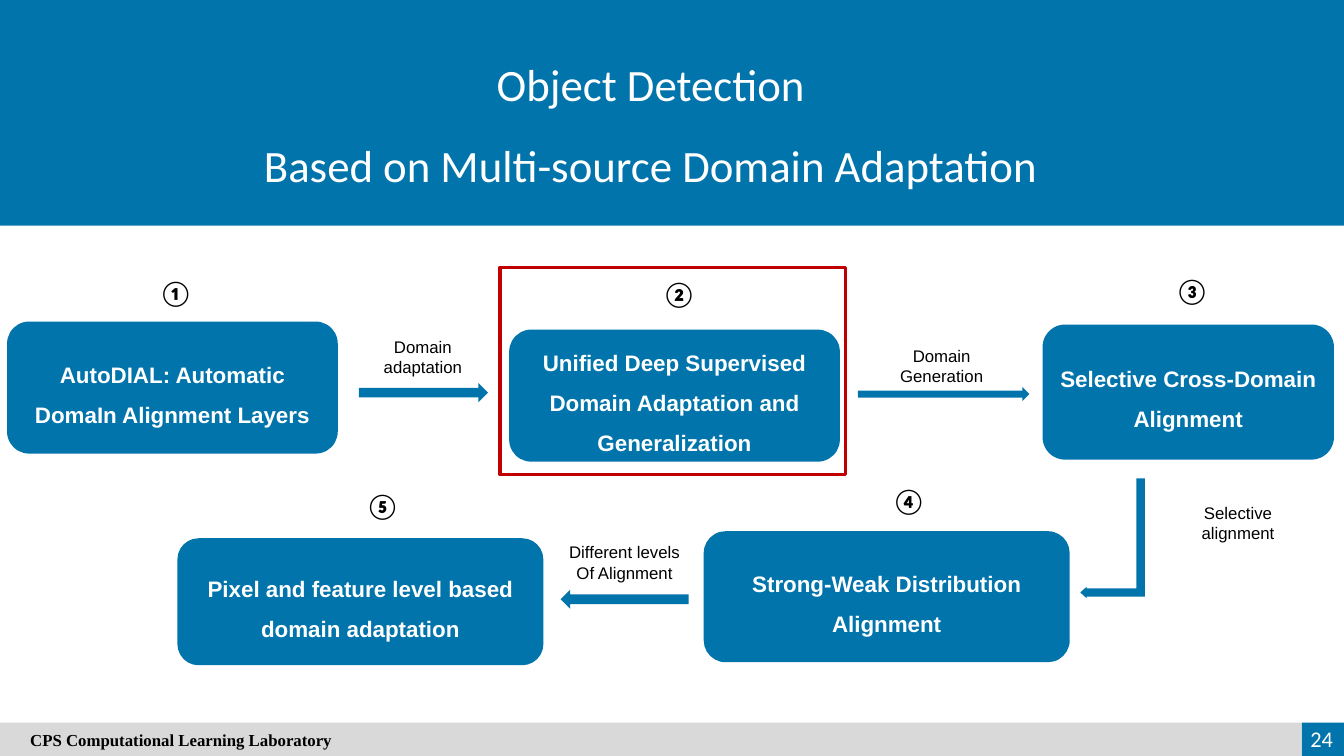
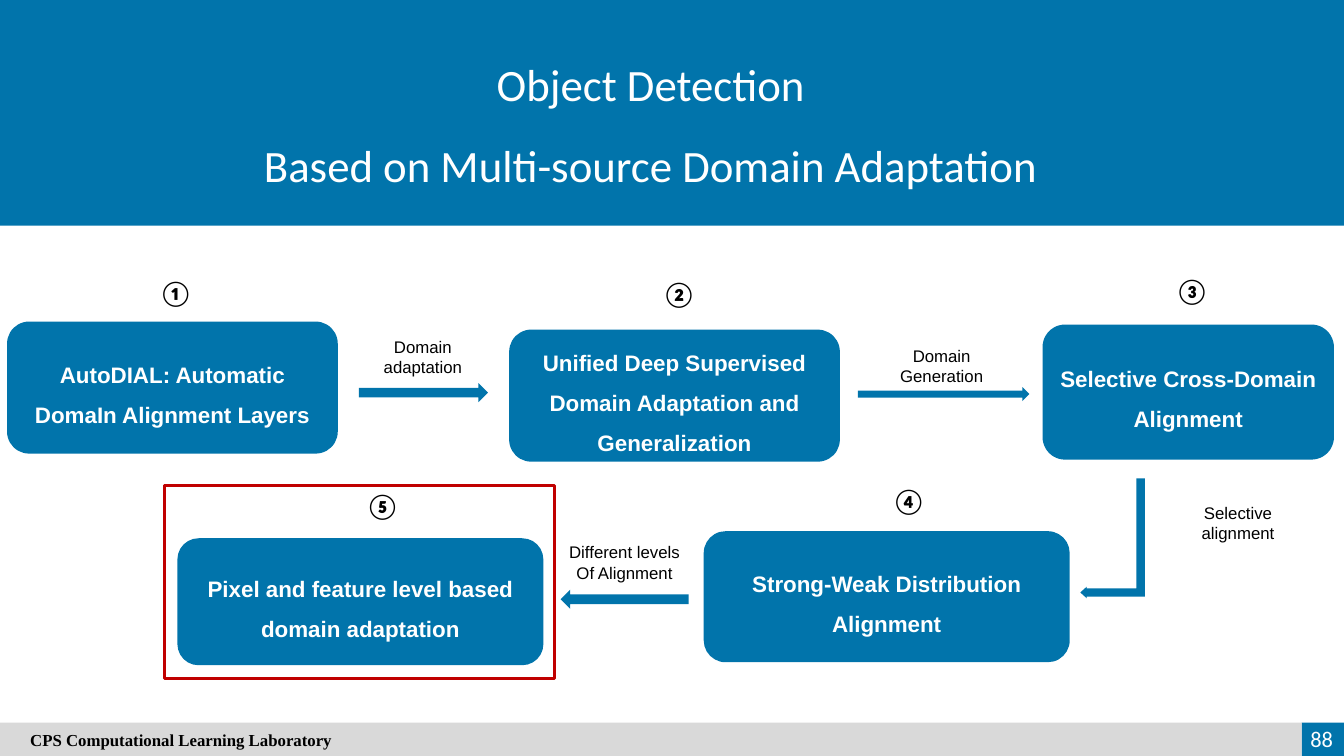
from dataclasses import dataclass

from pptx import Presentation
from pptx.dml.color import RGBColor
from pptx.enum.shapes import MSO_SHAPE
from pptx.enum.text import MSO_ANCHOR, MSO_AUTO_SIZE, PP_ALIGN
from pptx.oxml.ns import qn
from pptx.util import Inches, Pt


@dataclass(frozen=True)
class TextStyle:
    """Describe the look of a run of text."""
    font: str
    size: int
    color: RGBColor
    bold: bool = False


@dataclass(frozen=True)
class Theme:
    """Hold the colours and text styles of the deck."""
    blue = RGBColor(0x01, 0x74, 0xAB)
    gray = RGBColor(0xD9, 0xD9, 0xD9)
    red = RGBColor(0xC0, 0x00, 0x00)
    white = RGBColor(0xFF, 0xFF, 0xFF)
    black = RGBColor(0x00, 0x00, 0x00)
    title = TextStyle("Calibri", 32, white)
    step = TextStyle("Arial", 16, white, True)
    label = TextStyle("Arial", 12, black)
    number = TextStyle("Calibri", 18, black, True)
    footer = TextStyle("Times New Roman", 12, black, True)
    page = TextStyle("Calibri", 16, white)


THEME = Theme()

TITLE = ["Object Detection", "Based on Multi-source Domain Adaptation"]
FOOTER = "CPS Computational Learning Laboratory"

STEPS = [
    ("AutoDIAL: Automatic DomaIn Alignment Layers", (0.07, 3.19, 3.28, 1.31)),
    ("Unified Deep Supervised Domain Adaptation and Generalization", (5.05, 3.27, 3.28, 1.31)),
    ("Selective Cross-Domain Alignment", (10.34, 3.22, 2.89, 1.34)),
    ("Strong-Weak Distribution Alignment", (6.98, 5.27, 3.63, 1.3)),
    ("Pixel and feature level based domain adaptation", (1.76, 5.34, 3.63, 1.26)),
]
NUMBERS = [
    ("①", 1.48, 2.7),
    ("②", 6.47, 2.71),
    ("③", 11.56, 2.68),
    ("④", 8.75, 4.77),
    ("⑤", 3.53, 4.82),
]
TRANSITIONS = [
    (["Domain", "adaptation"], (3.11, 3.29, 2.17, 0.5)),
    (["Domain", "Generation"], (8.19, 3.38, 2.3, 0.5)),
    (["Selective", "alignment"], (11.13, 4.94, 2.3, 0.5)),
    (["Different levels", "Of Alignment"], (5.18, 5.33, 2.03, 0.5)),
]
STRAIGHT_ARROWS = [
    ((3.56, 3.8, 1.28, 0.19), 0),
    ((8.51, 3.84, 1.7, 0.14), 0),
    ((5.56, 5.85, 1.27, 0.19), 180),
]
BENT_ARROW = (10.44, 5.02, 1.19, 0.64)
BENT_ADJUSTMENTS = (0.13, 0.09, 0.1)

PAGES = [
    ("24", (4.96, 2.65, 3.43, 2.06)),
    ("88", (1.63, 4.82, 3.87, 1.91)),
]


def inches(box):
    """Convert a box given in inches to lengths."""
    return [Inches(length) for length in box]


def write(frame, lines, style, align=PP_ALIGN.CENTER, spacing=None):
    """Write one styled paragraph for each line."""
    for index, line in enumerate(lines):
        paragraph = frame.add_paragraph() if index else frame.paragraphs[0]
        paragraph.alignment = align
        if spacing:
            paragraph.line_spacing = spacing
        run = paragraph.add_run()
        run.text = line
        run.font.name = style.font
        run.font.size = Pt(style.size)
        run.font.bold = style.bold
        run.font.color.rgb = style.color


def add_block(slide, preset, box, color):
    """Add a flat filled shape without an outline."""
    block = slide.shapes.add_shape(preset, *inches(box))
    block.shadow.inherit = False
    block.fill.solid()
    block.fill.fore_color.rgb = color
    block.line.fill.background()
    return block


def add_text(slide, lines, box, style, align=PP_ALIGN.CENTER, wrap=True):
    """Add a text box and return its frame."""
    frame = slide.shapes.add_textbox(*inches(box)).text_frame
    frame.word_wrap = wrap
    write(frame, lines, style, align)
    return frame


def decorate_layout(layout, slide):
    """Move the title band and the footer bar into the layout."""
    band = add_block(slide, MSO_SHAPE.RECTANGLE, (0, 0, 13.33, 2.24), THEME.blue)
    corner = add_block(slide, MSO_SHAPE.RECTANGLE, (12.91, 7.17, 0.42, 0.33), THEME.blue)
    footer = add_block(slide, MSO_SHAPE.RECTANGLE, (0, 7.17, 12.91, 0.33), THEME.gray)
    footer.text_frame.vertical_anchor = MSO_ANCHOR.MIDDLE
    footer.text_frame.margin_left = Inches(0.3)
    write(footer.text_frame, [FOOTER], THEME.footer, PP_ALIGN.LEFT)
    for part in (band, corner, footer):
        layout.shapes.element.append(part.element)


def set_title(slide):
    """Place and fill the title placeholder."""
    title = slide.shapes.title
    title.left, title.top, title.width, title.height = inches((0.34, 0.25, 12.23, 1.63))
    frame = title.text_frame
    frame.auto_size = MSO_AUTO_SIZE.NONE
    frame.vertical_anchor = MSO_ANCHOR.TOP
    write(frame, TITLE, THEME.title, spacing=1.5)


def add_step(slide, text, box):
    """Add a rounded box that names one method."""
    step = add_block(slide, MSO_SHAPE.ROUNDED_RECTANGLE, box, THEME.blue)
    step.text_frame.word_wrap = True
    step.text_frame.vertical_anchor = MSO_ANCHOR.MIDDLE
    write(step.text_frame, [text], THEME.step, spacing=1.5)


def add_bent_arrow(slide):
    """Add the arrow that turns from the upper to the lower row."""
    arrow = add_block(slide, MSO_SHAPE.BENT_UP_ARROW, BENT_ARROW, THEME.blue)
    for index, value in enumerate(BENT_ADJUSTMENTS):
        arrow.adjustments[index] = value
    arrow.rotation = 90
    arrow.element.spPr.find(qn("a:xfrm")).set("flipV", "1")


def add_highlight(slide, box):
    """Frame the current step in red."""
    highlight = slide.shapes.add_shape(MSO_SHAPE.RECTANGLE, *inches(box))
    highlight.shadow.inherit = False
    highlight.fill.background()
    highlight.line.color.rgb = THEME.red
    highlight.line.width = Pt(2.25)


def add_flow(slide):
    """Draw the five steps with their numbers, arrows and labels."""
    for text, box in STEPS:
        add_step(slide, text, box)
    for box, rotation in STRAIGHT_ARROWS:
        add_block(slide, MSO_SHAPE.RIGHT_ARROW, box, THEME.blue).rotation = rotation
    add_bent_arrow(slide)
    for lines, box in TRANSITIONS:
        add_text(slide, lines, box, THEME.label)
    for number, left, top in NUMBERS:
        add_text(slide, [number], (left, top, 0.45, 0.4), THEME.number, PP_ALIGN.LEFT, wrap=False)


def main():
    """Build the deck and save it."""
    deck = Presentation()
    deck.slide_width, deck.slide_height = inches((13.33, 7.5))
    layout = deck.slide_layouts.get_by_name("Title Only")
    slides = [deck.slides.add_slide(layout) for _ in PAGES]
    decorate_layout(layout, slides[0])
    for slide, (page, highlight) in zip(slides, PAGES):
        set_title(slide)
        add_flow(slide)
        page_frame = add_text(slide, [page], (12.69, 7.13, 0.63, 0.4), THEME.page, PP_ALIGN.RIGHT)
        page_frame.vertical_anchor = MSO_ANCHOR.MIDDLE
        add_highlight(slide, highlight)
    deck.save("out.pptx")


if __name__ == "__main__":
    main()
